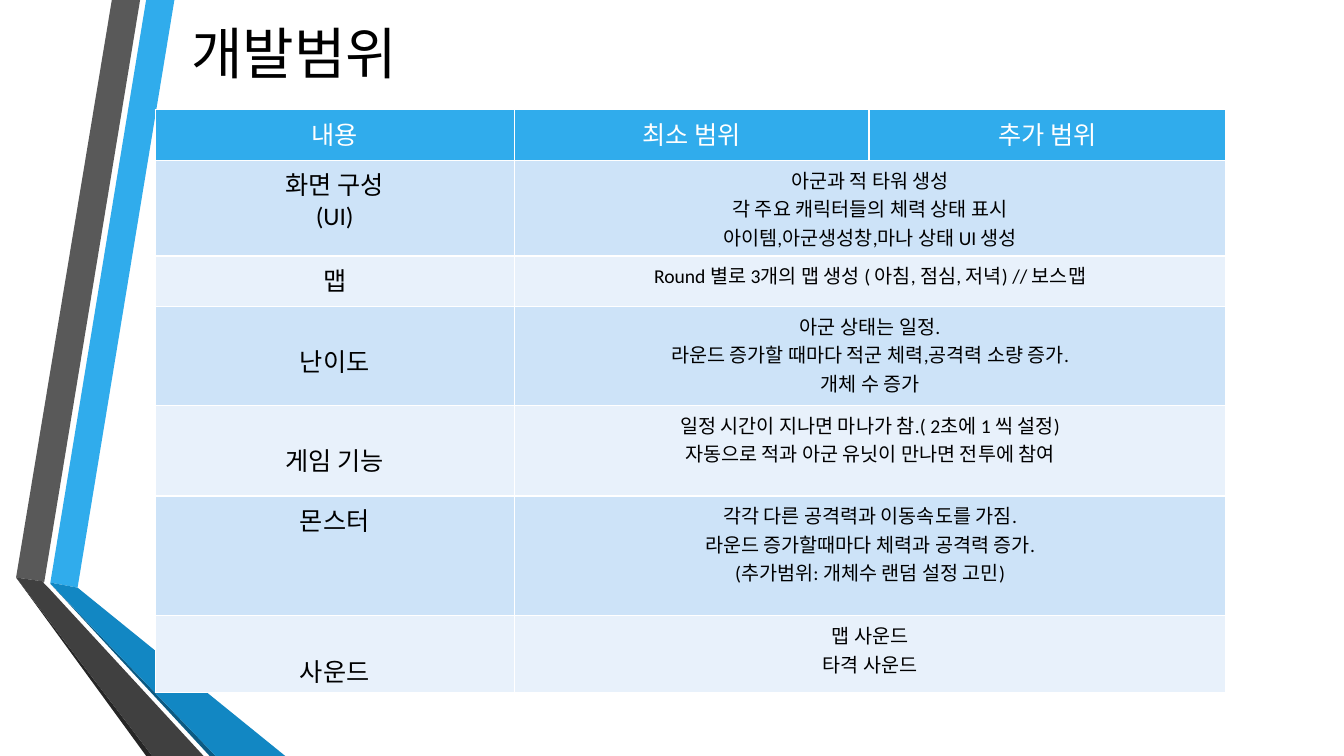
from lxml import etree
from pptx import Presentation
from pptx.dml.color import RGBColor
from pptx.enum.text import MSO_ANCHOR, PP_ALIGN
from pptx.oxml.ns import qn
from pptx.util import Inches, Pt

CENTER = PP_ALIGN.CENTER
MIDDLE = MSO_ANCHOR.MIDDLE
FONT = "Calibri"
COLORS = {
    "white": "FFFFFF", "black": "000000",
    "blue": "30ACEC", "deep_blue": "1287C3", "navy": "0C5A82",
    "gray": "595959", "dark_gray": "404040", "charcoal": "262626",
    "band_dark": "CDE3F8", "band_light": "E8F1FB",
}

# Folded ribbon on the left edge, back to front
RIBBON = [
    ("blue", [(0.5, 5.78), (0.77, 5.83), (1.73, 0), (1.45, 0)]),
    ("gray", [(1.39, 0), (1.11, 0), (0.16, 5.73), (0.44, 5.77)]),
    ("charcoal", [(0.16, 5.73), (1.45, 7.5), (1.51, 7.5)]),
    ("navy", [(0.5, 5.79), (2.08, 7.5), (2.14, 7.5)]),
    ("deep_blue", [(0.5, 5.79), (2.14, 7.5), (2.83, 7.5), (0.77, 5.83), (0.5, 5.78)]),
    ("dark_gray", [(2.02, 7.5), (0.48, 5.83), (0.43, 5.78), (0.44, 5.77),
                   (0.16, 5.73), (1.51, 7.5)]),
]

COLUMN_WIDTHS = [3.56, 3.52, 3.54]
HEADER_HEIGHT = 0.5
HEADINGS = ["내용", "최소 범위", "추가 범위"]
LOWERED = 0.36  # top margin of labels that sit lower in their row
NORMAL = 0.05

# Row height, label, top margin of the label, scope
SCOPE_ROWS = [
    (0.95, "화면 구성\n(UI)", NORMAL,
     "아군과 적 타워 생성\n각 주요 캐릭터들의 체력 상태 표시\n"
     "아이템,아군생성창,마나 상태 UI 생성"),
    (0.5, "맵", NORMAL, "Round 별로 3개의 맵 생성 ( 아침, 점심, 저녁) // 보스맵"),
    (0.98, "난이도", LOWERED,
     "아군 상태는 일정.\n라운드 증가할 때마다 적군 체력,공격력 소량 증가.\n개체 수 증가"),
    (0.9, "게임 기능", LOWERED,
     "일정 시간이 지나면 마나가 참.( 2초에 1 씩 설정)\n"
     "자동으로 적과 아군 유닛이 만나면 전투에 참여"),
    (1.19, "몬스터", NORMAL,
     "각각 다른 공격력과 이동속도를 가짐.\n라운드 증가할때마다 체력과 공격력 증가.\n"
     "(추가범위: 개체수 랜덤 설정 고민)"),
    (0.76, "사운드", LOWERED, "맵 사운드\n타격 사운드"),
]


def rgb(color):
    return RGBColor.from_string(COLORS[color])


def write_text(text_frame, text, size, color):
    text_frame.text = text
    for paragraph in text_frame.paragraphs:
        paragraph.alignment = CENTER
        for run in paragraph.runs:
            run.font.name = FONT
            run.font.size = Pt(size)
            run.font.bold = False
            run.font.color.rgb = rgb(color)


def add_ribbon_part(slide, color, points):
    builder = slide.shapes.build_freeform(
        Inches(points[0][0]), Inches(points[0][1]))
    builder.add_line_segments(
        [(Inches(x), Inches(y)) for x, y in points[1:]], close=True)
    shape = builder.convert_to_shape()
    shape.shadow.inherit = False
    shape.fill.solid()
    shape.fill.fore_color.rgb = rgb(color)
    shape.line.fill.background()


def add_title(slide, text):
    title = slide.shapes.add_textbox(
        Inches(1.5), Inches(0.13), Inches(2.84), Inches(0.78))
    title.text_frame.word_wrap = True
    title.text_frame.vertical_anchor = MIDDLE
    write_text(title.text_frame, text, 40, "black")


def add_borders(cell):
    properties = cell._tc.get_or_add_tcPr()
    for position, side in enumerate(("lnL", "lnR", "lnT", "lnB")):
        line = etree.Element(qn(f"a:{side}"), w=str(Pt(1)))
        fill = etree.SubElement(line, qn("a:solidFill"))
        etree.SubElement(fill, qn("a:srgbClr"), val=COLORS["white"])
        properties.insert(position, line)


def style_cell(cell, fill):
    cell.fill.solid()
    cell.fill.fore_color.rgb = rgb(fill)
    add_borders(cell)


def add_scope_table(slide):
    heights = [HEADER_HEIGHT] + [row[0] for row in SCOPE_ROWS]
    table = slide.shapes.add_table(
        len(heights), len(COLUMN_WIDTHS), Inches(1.54), Inches(1.09),
        Inches(sum(COLUMN_WIDTHS)), Inches(sum(heights))).table
    for column, width in zip(table.columns, COLUMN_WIDTHS):
        column.width = Inches(width)
    for row, height in zip(table.rows, heights):
        row.height = Inches(height)

    # Header
    for column, heading in enumerate(HEADINGS):
        cell = table.cell(0, column)
        style_cell(cell, "blue")
        write_text(cell.text_frame, heading, 18, "white")

    # Body: a label, then a scope across the last two columns
    for index, (_, label, margin, scope) in enumerate(SCOPE_ROWS, start=1):
        band = "band_dark" if index % 2 else "band_light"
        label_cell, scope_cell, last_cell = (
            table.cell(index, column) for column in range(3))
        for cell in (label_cell, scope_cell, last_cell):
            style_cell(cell, band)
        scope_cell.merge(last_cell)
        label_cell.margin_top = Inches(margin)
        write_text(label_cell.text_frame, label, 18, "black")
        write_text(scope_cell.text_frame, scope, 14, "black")


def main():
    presentation = Presentation()
    presentation.slide_width = Inches(13.33)
    presentation.slide_height = Inches(7.5)
    slide = presentation.slides.add_slide(presentation.slide_layouts[6])
    for color, points in RIBBON:
        add_ribbon_part(slide, color, points)
    add_title(slide, "개발범위")
    add_scope_table(slide)
    presentation.save("out.pptx")


main()
